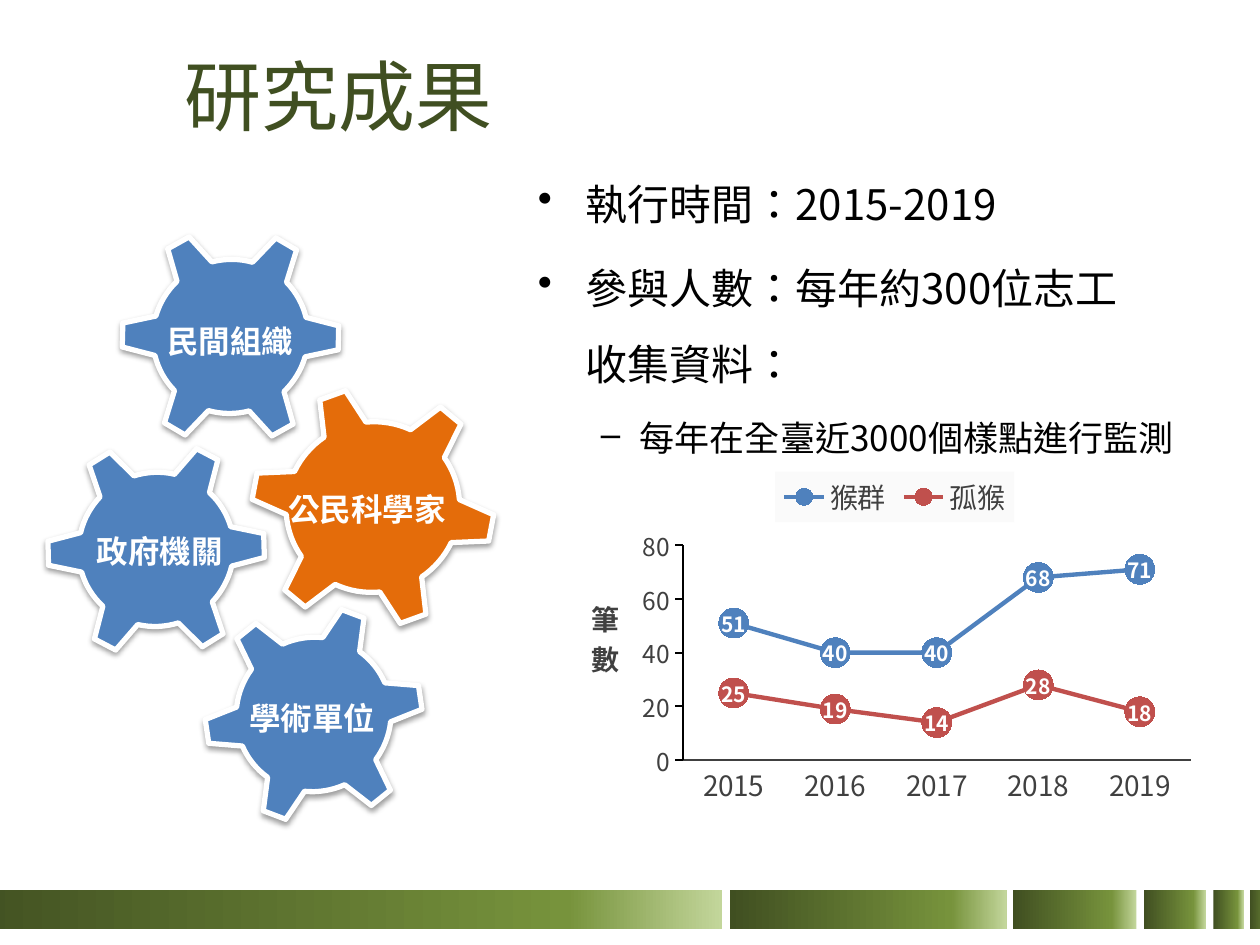
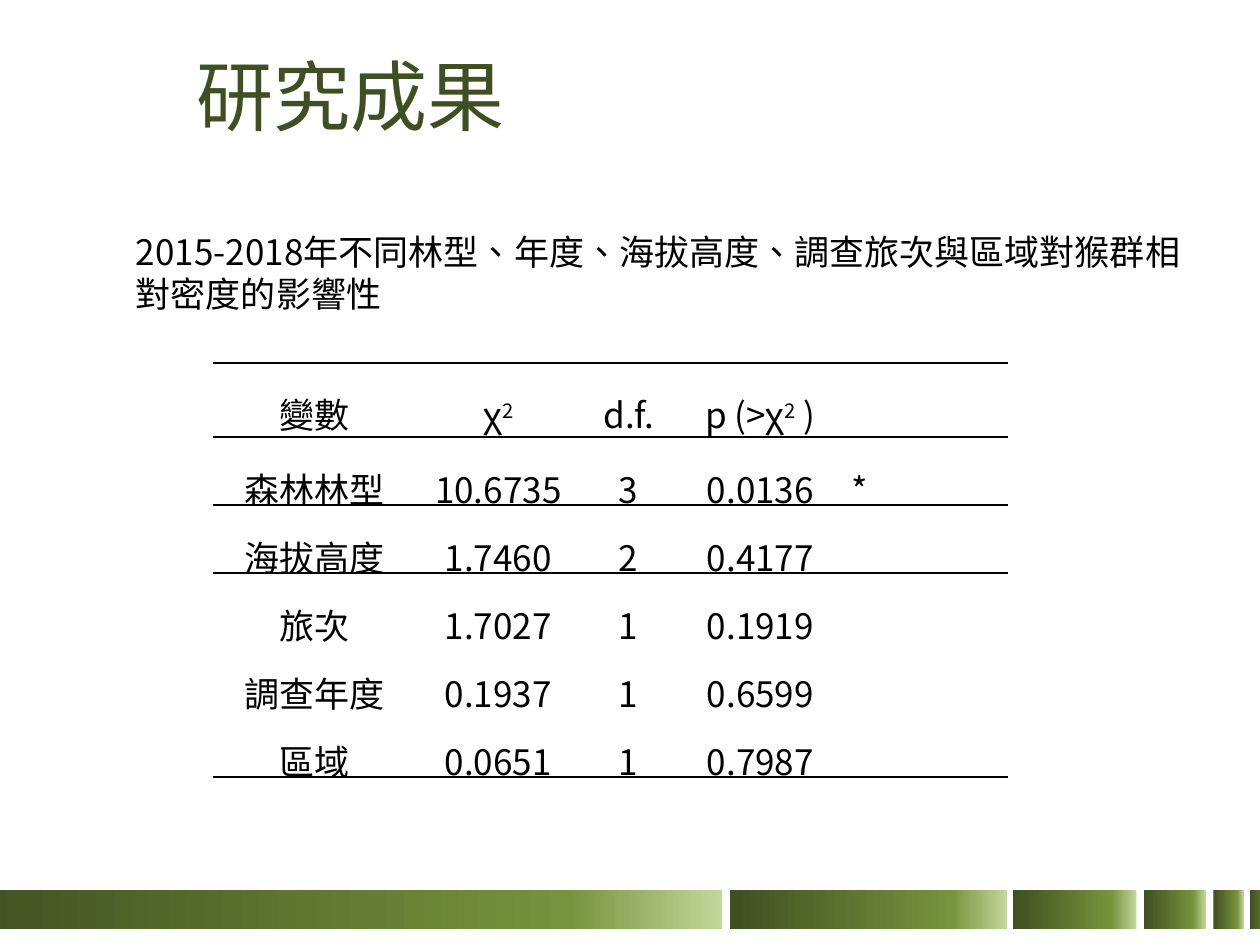
from lxml.etree import SubElement as Sub
from pptx import Presentation
from pptx.chart.data import CategoryChartData as Data
from pptx.dml.color import RGBColor as RGB
from pptx.enum.chart import XL_CHART_TYPE as Kind, XL_LABEL_POSITION as Spot
from pptx.enum.chart import XL_LEGEND_POSITION as Side, XL_MARKER_STYLE as Mark
from pptx.enum.chart import XL_TICK_MARK as Tick
from pptx.enum.shapes import MSO_SHAPE as Shape
from pptx.enum.text import MSO_ANCHOR as Anchor, PP_ALIGN as Align
from pptx.oxml import parse_xml
from pptx.oxml.ns import nsdecls, qn
from pptx.util import Inches, Pt

FACE = "Noto Sans CJK SC"
HUE = {"dark": "404F21", "mid": "77933C", "pale": "C3D69B", "blue": "4F81BD",
       "orange": "E46C0A", "red": "C0504D", "gray": "404040", "mist": "FAFAFA",
       "white": "FFFFFF", "black": "000000"}


def paint(font, size, hue, bold=False):
    """Set one font for Latin and East Asian text alike."""
    font.size, font.bold, font.name = Pt(size), bold, FACE
    font.color.rgb = RGB.from_string(HUE[hue])
    props = font._rPr
    props.set("lang", "zh-TW")
    ea = props.find(qn("a:ea"))
    if ea is None:
        ea = props.makeelement(qn("a:ea"))
        props.find(qn("a:latin")).addnext(ea)
    ea.set("typeface", FACE)


def write(slide, text, box, size, hue, bold=False, wrap=True):
    """Add a text box and return its frame."""
    frame = slide.shapes.add_textbox(*map(Inches, box)).text_frame
    frame.word_wrap = wrap
    frame.text = text
    for para in frame.paragraphs:
        for run in para.runs:
            paint(run.font, size, hue, bold)
    return frame


deck = Presentation()
deck.slide_width, deck.slide_height = Inches(10), Inches(7.5)

# Shared footer band and title
bands = [(-0.39, 6.12), (5.79, 2.2), (8.04, 0.98), (9.08, 0.49),
         (9.63, 0.24), (9.92, 0.24)]
stops = "".join(f'<a:gs pos="{pos}"><a:srgbClr val="{HUE[hue]}"/></a:gs>'
                for pos, hue in [(0, "dark"), (80000, "mid"), (100000, "pale")])
for left, width in [(1.37, 8.2), (1.46, 8.41)]:
    slide = deck.slides.add_slide(deck.slide_layouts[6])
    for x, w in bands:
        bar = slide.shapes.add_shape(Shape.RECTANGLE, Inches(x), Inches(7.06),
                                     Inches(w), Inches(0.31))
        bar.shadow.inherit = False
        bar.line.fill.background()
        bar._element.spPr.find(qn("a:prstGeom")).addnext(parse_xml(
            f'<a:gradFill {nsdecls("a")} rotWithShape="1"><a:gsLst>{stops}'
            '</a:gsLst><a:lin ang="0" scaled="0"/></a:gradFill>'))
    title = write(slide, "研究成果", (left, 0.13, width, 1.25), 44, "dark")
    title.vertical_anchor = Anchor.MIDDLE
first, second = deck.slides

# Gears of the partner groups
gears = [(1.61, 4.8, 1.76, 1.74, 321.1, "blue"),
         (0.36, 3.49, 1.76, 1.74, 328.1, "blue"),
         (1.98, 3.06, 1.96, 1.93, 340.2, "orange"),
         (0.95, 1.8, 1.76, 1.74, 330.9, "blue")]
for *box, turn, hue in gears:
    gear = first.shapes.add_shape(Shape.GEAR_6, *map(Inches, box))
    gear.rotation = turn
    gear.fill.solid()
    gear.fill.fore_color.rgb = RGB.from_string(HUE[hue])
    gear.line.color.rgb = RGB.from_string(HUE["white"])
    gear.line.width = Pt(3)
    gear.shadow.inherit = False
    glow = gear._element.spPr.find(qn("a:effectLst"))
    shade = Sub(glow, qn("a:outerShdw"), blurRad="40000", dist="20000",
                dir="5400000", rotWithShape="0")
    tone = Sub(shade, qn("a:srgbClr"), val=HUE["black"])
    Sub(tone, qn("a:alpha"), val="38000")

for name, x, y, w in [("政府機關", 0.67, 4.17, 1.21), ("學術單位", 1.88, 5.5, 1.21),
                      ("民間組織", 1.23, 2.51, 1.25), ("公民科學家", 2.19, 3.84, 1.52)]:
    write(first, name, (x, y, w, 0.4), 18, "white", True, False)

# Project facts
facts = ("執行時間：2015-2019\n參與人數：每年約300位志工\v收集資料：\n"
         "每年在全臺近3000個樣點進行監測")
body = write(first, facts, (4.17, 1.17, 5.46, 2.57), 24, "black")
looks = [("•", 0.38, 0.38, 24, 0), ("•", 0.38, 0.38, 24, 4.8), ("–", 0.81, 0.31, 20, 4)]
for para, (sign, left, hang, size, gap) in zip(body.paragraphs, looks):
    props = para._p.get_or_add_pPr()
    props.set("marL", str(Inches(left)))
    props.set("indent", str(-Inches(hang)))
    Sub(props, qn("a:buChar"), char=sign)
    para.line_spacing, para.space_before = 1.5, Pt(gap)
    for run in para.runs:
        run.font.size = Pt(size)

# Line chart of yearly counts
data = Data()
data.categories = ["2015", "2016", "2017", "2018", "2019"]
data.add_series("猴群", [51, 40, 40, 68, 71])
data.add_series("孤猴", [25, 19, 14, 28, 18])
chart = first.shapes.add_chart(Kind.LINE_MARKERS, Inches(4.6), Inches(3.67),
                               Inches(5), Inches(3), data).chart
chart.has_title = False
paint(chart.font, 16, "black")
chart.plots[0].vary_by_categories = False
for line, hue in zip(chart.plots[0].series, ("blue", "red")):
    color = RGB.from_string(HUE[hue])
    line.smooth = False
    line.format.line.color.rgb = color
    line.format.line.width = Pt(2.5)
    line.marker.style, line.marker.size = Mark.CIRCLE, 17
    line.marker.format.fill.solid()
    line.marker.format.fill.fore_color.rgb = color
    line.marker.format.line.color.rgb = color
    tags = line.data_labels
    tags.show_value, tags.position = True, Spot.CENTER
    paint(tags.font, 12, "white", True)

# Axes and legend
cats, vals = chart.category_axis, chart.value_axis
for axis, size, hue, width, tick in [(cats, 16, "gray", 1.5, Tick.NONE),
                                     (vals, 14, "black", 1.25, Tick.OUTSIDE)]:
    axis.has_major_gridlines = False
    axis.major_tick_mark, axis.minor_tick_mark = tick, Tick.NONE
    axis.format.line.color.rgb = RGB.from_string(HUE[hue])
    axis.format.line.width = Pt(width)
    paint(axis.tick_labels.font, size, "gray")
vals.minimum_scale, vals.maximum_scale, vals.major_unit = 0, 80, 20
label = vals.axis_title
label.text_frame.text = "筆數"
paint(label.text_frame.paragraphs[0].runs[0].font, 16, "gray", True)
shape = label.text_frame._txBody.find(qn("a:bodyPr"))
shape.set("rot", "0")
shape.set("vert", "wordArtVertRtl")
chart.has_legend = True
key = chart.legend
key.position, key.include_in_layout = Side.TOP, False
paint(key.font, 16, "gray")
key._element.find(qn("c:txPr")).addprevious(parse_xml(
    f'<c:spPr {nsdecls("c", "a")}><a:solidFill><a:srgbClr val="{HUE["mist"]}"/>'
    '</a:solidFill></c:spPr>'))

# Fixed places for the plot and the axis title
area = chart._chartSpace.chart.plotArea
spots = [(area, dict(layoutTarget="inner", xMode="edge", yMode="edge",
                     x=0.164, y=0.219, w=0.806, h=0.569)),
         (label._element, dict(xMode="edge", yMode="edge", x=0.01, y=0.34))]
for node, place in spots:
    old = node.find(qn("c:layout"))
    if old is not None:
        node.remove(old)
    layout = node.makeelement(qn("c:layout"))
    manual = Sub(layout, qn("c:manualLayout"))
    for name, value in place.items():
        Sub(manual, qn(f"c:{name}"), val=str(value))
    node.insert(0 if node is area else 1, layout)

# Table of test results; text between bars is raised
rows = [("變數", "χ|2", "d.f.", "p (>χ|2| )", ""),
        ("森林林型", "10.6735", "3", "0.0136", "*"),
        ("海拔高度", "1.7460", "2", "0.4177", ""),
        ("旅次", "1.7027", "1", "0.1919", ""),
        ("調查年度", "0.1937", "1", "0.6599", ""),
        ("區域", "0.0651", "1", "0.7987", "")]
rules = {0: ("lnT", "lnB"), 1: ("lnT", "lnB"), 2: ("lnT",), 5: ("lnB",)}
grid = second.shapes.add_table(6, 5, Inches(1.69), Inches(2.88),
                               Inches(6.3), Inches(3.29)).table
grid.first_row = grid.horz_banding = False
plain = "{2D5ABB26-0587-4C30-8999-92F81FD0307C}"
grid._tbl.tblPr.find(qn("a:tableStyleId")).text = plain
for col, width in zip(grid.columns, (1.62, 1.29, 0.78, 1.31, 1.31)):
    col.width = Inches(width)
for r, row in enumerate(rows):
    grid.rows[r].height = Inches(0.54 if r else 0.59)
    for c, text in enumerate(row):
        cell = grid.cell(r, c)
        cell.margin_left = cell.margin_right = Inches(0.07)
        cell.margin_top = cell.margin_bottom = 0
        cell.vertical_anchor = Anchor.MIDDLE
        for edge in rules.get(r, ()):
            rule = Sub(cell._tc.get_or_add_tcPr(), qn(f"a:{edge}"), w=str(Pt(1)))
            Sub(Sub(rule, qn("a:solidFill")), qn("a:srgbClr"), val=HUE["black"])
        cell.fill.background()
        para = cell.text_frame.paragraphs[0]
        para.line_spacing = 1.5
        para.alignment = Align.LEFT if c == 4 else Align.CENTER
        for i, part in enumerate(text.split("|") if text else ()):
            run = para.add_run()
            run.text = part
            paint(run.font, 20, "black")
            if i % 2:
                run.font._rPr.set("baseline", "30000")

# Table caption
write(second, "2015-2018年不同林型、年度、海拔高度、調查旅次與區域對猴群相對密度的影響性",
      (0.98, 1.78, 8.5, 0.77), 20, "black")

deck.save("out.pptx")
